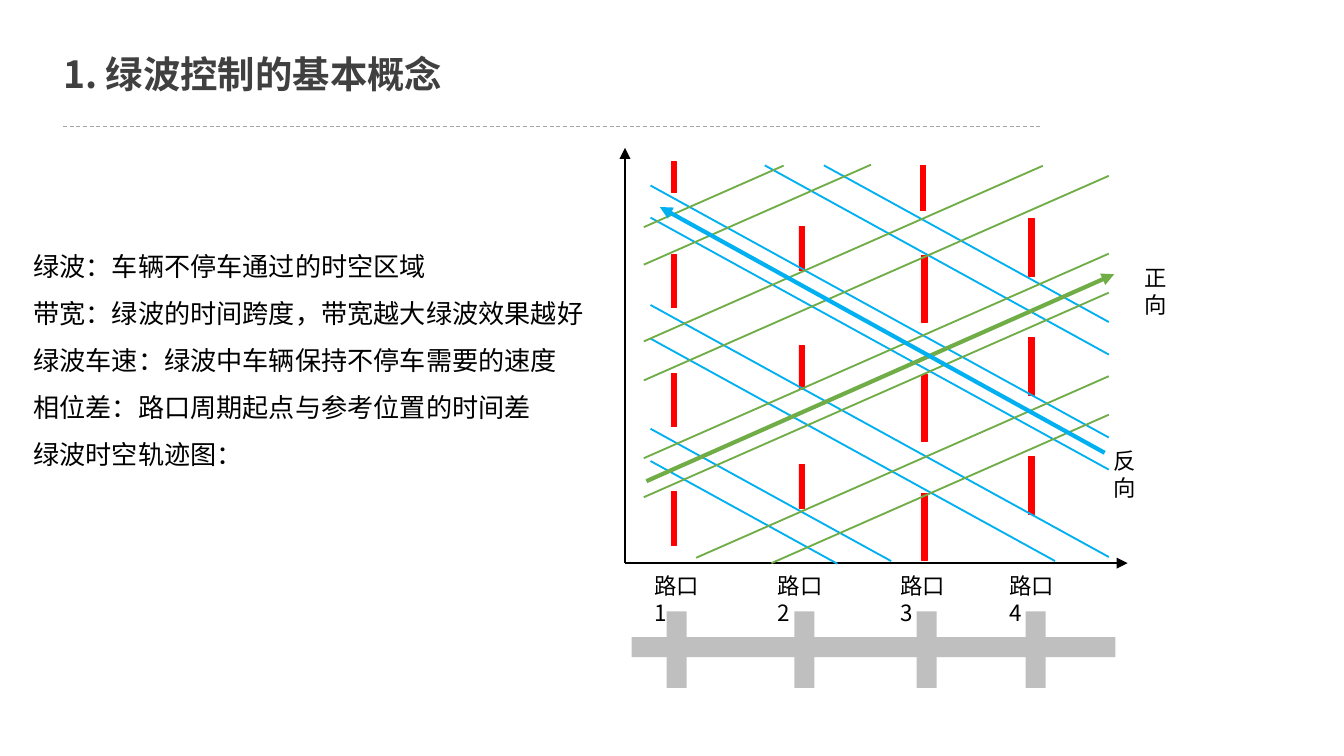
"""Build the slide on green wave control with its time-space diagram."""
from lxml.etree import SubElement
from pptx import Presentation
from pptx.dml.color import RGBColor
from pptx.enum.dml import MSO_LINE
from pptx.enum.shapes import MSO_CONNECTOR, MSO_SHAPE
from pptx.enum.text import MSO_ANCHOR, PP_ALIGN
from pptx.oxml.ns import qn
from pptx.util import Pt

FONT = "Noto Sans CJK SC"
COLORS = {
    "title": "404040",
    "text": "000000",
    "rule": "A6A6A6",
    "road": "BFBFBF",
    "red": "FF0000",
    "forward": "70AD47",
    "reverse": "00B0F0",
}


def add_line(x1, y1, x2, y2, color, width, arrow=False):
    line = page.shapes.add_connector(
        MSO_CONNECTOR.STRAIGHT, Pt(x1), Pt(y1), Pt(x2), Pt(y2))
    line.line.color.rgb = RGBColor.from_string(COLORS[color])
    line.line.width = Pt(width)
    SubElement(line._element.spPr, qn("a:effectLst"))
    if arrow:
        SubElement(line.line._get_or_add_ln(), qn("a:tailEnd"), type="triangle")
    return line


def format_text(box, size, color, bold=False):
    for para in box.text_frame.paragraphs:
        for span in para.runs:
            span.font.size = Pt(size)
            span.font.bold = bold
            span.font.name = FONT
            span.font.color.rgb = RGBColor.from_string(COLORS[color])
            SubElement(span._r.get_or_add_rPr(), qn("a:ea"), typeface=FONT)


deck = Presentation()
deck.slide_width, deck.slide_height = Pt(720), Pt(405)
page = deck.slides.add_slide(deck.slide_layouts[5])

title = page.shapes.title
title.left, title.top, title.width, title.height = Pt(33.8), Pt(27.4), Pt(538.6), Pt(24.5)
frame = title.text_frame
frame.text = "1. 绿波控制的基本概念"
frame.margin_left = frame.margin_right = frame.margin_top = frame.margin_bottom = 0
frame.vertical_anchor = MSO_ANCHOR.MIDDLE
frame.paragraphs[0].alignment = PP_ALIGN.LEFT
format_text(title, 20, "title", True)
add_line(33.8, 67.7, 557.3, 67.7, "rule", 0.5).line.dash_style = MSO_LINE.DASH

crossing_centers = [362.5, 430.9, 496.4, 554.8]
roads = [(338.4, 341.3, 259.2, 10.8)]
roads += [(center - 5.4, 327.6, 10.8, 41) for center in crossing_centers]

cycle = 63.7
red_phases = [(361, 278, 28.8), (429.5, 260.6, 23.8),
              (495.4, 282.2, 36), (552.6, 259.9, 31)]
red_bars = [(361.1, 95, 16.6), (494.6, 100.8, 24.5)]
red_bars += [(x, y - cycle * step, height)
             for x, y, height in red_phases for step in range(3)]
bars = [(x - 1.45, y - height / 2, 2.9, height) for x, y, height in red_bars]

for color, blocks in (("road", roads), ("red", bars)):
    for left, top, width, height in blocks:
        block = page.shapes.add_shape(
            MSO_SHAPE.RECTANGLE, Pt(left), Pt(top), Pt(width), Pt(height))
        block.shadow.inherit = False
        block.fill.solid()
        block.fill.fore_color.rgb = RGBColor.from_string(COLORS[color])
        if color == "road":
            block.line.fill.background()
        else:
            block.line.color.rgb = RGBColor.from_string(COLORS[color])
            block.line.width = Pt(0.5)

add_line(334.8, 301.7, 334.8, 79.2, "text", 1, True)
add_line(334.8, 301.7, 604.1, 301.7, "text", 1, True)

forward_edges = [
    (344.9, 245.5, 594), (344.9, 266.4, 594), (344.9, 182.9, 558.7),
    (344.9, 203.8, 594), (344.9, 121.7, 419.8), (344.9, 141.8, 466.6),
    (373, 298.8, 594), (413.3, 301.7, 594),
]
reverse_edges = [
    (348.5, 99.4, 594), (348.5, 116.6, 594), (348.5, 163.4, 594),
    (348.5, 181.4, 565.2), (348.5, 229.7, 477.4), (348.5, 247, 448.6),
    (441.4, 88.6, 594), (409.7, 88.6, 594),
]
for color, slope, edges in (("reverse", 0.55, reverse_edges),
                            ("forward", -0.44, forward_edges)):
    for x1, y1, x2 in edges:
        add_line(x1, y1, x2, y1 + slope * (x2 - x1), color, 1)

add_line(346.3, 257.8, 596.9, 146.9, "forward", 2.25, True)
add_line(591.8, 242.6, 353.5, 110.9, "reverse", 2.25, True)

labels = [("正向", 606.2, 138.2, 32.4), ("反向", 589.7, 236.2, 32.4)]
labels += [(f"路口{number}", left, 303.1, 38.9)
           for number, left in enumerate((343.4, 409.7, 475.2, 533.5), 1)]
for text, left, top, width in labels:
    label = page.shapes.add_textbox(Pt(left), Pt(top), Pt(width), Pt(18.7))
    label.text_frame.word_wrap = True
    label.text_frame.text = text
    format_text(label, 12, "text")

concepts = [
    "绿波：车辆不停车通过的时空区域",
    "带宽：绿波的时间跨度，带宽越大绿波效果越好",
    "绿波车速：绿波中车辆保持不停车需要的速度",
    "相位差：路口周期起点与参考位置的时间差",
    "绿波时空轨迹图：",
]
box = page.shapes.add_textbox(Pt(10.8), Pt(122.4), Pt(315.4), Pt(134.6))
box.text_frame.word_wrap = True
box.text_frame.text = "\n".join(concepts)
for para in box.text_frame.paragraphs:
    para.line_spacing = 1.5
format_text(box, 14, "text")

deck.save("out.pptx")
